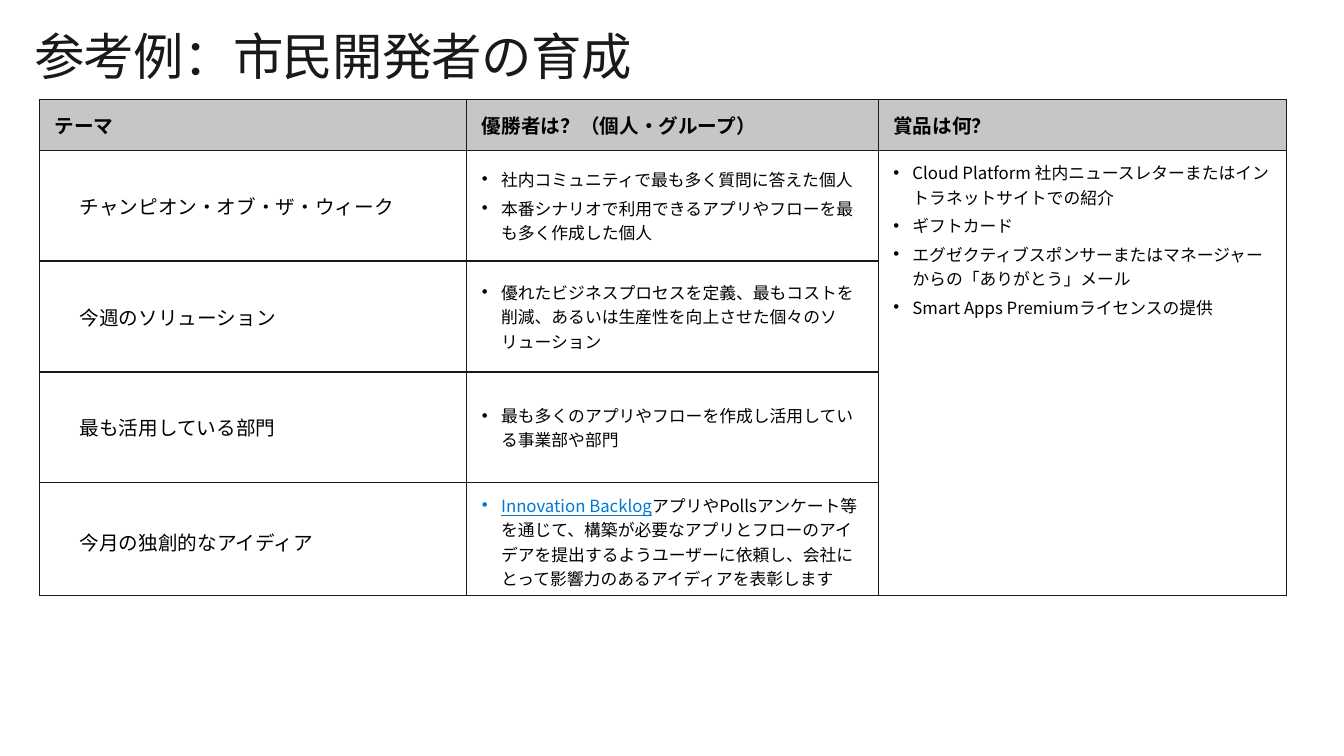
from lxml import etree
from pptx import Presentation
from pptx.dml.color import RGBColor
from pptx.enum.text import MSO_ANCHOR
from pptx.oxml import parse_xml
from pptx.oxml.ns import nsdecls, qn
from pptx.util import Inches, Pt

FONT = "Noto Sans CJK JP"
BLACK, INK, LINK, GREY = "000000", "191919", "0078D4", "C6C6C6"

HEADERS = ["テーマ", "優勝者は？（個人・グループ）", "賞品は何？"]
THEMES = [
    ("チャンピオン・オブ・ザ・ウィーク", [
        "社内コミュニティで最も多く質問に答えた個人",
        "本番シナリオで利用できるアプリやフローを最も多く作成した個人"]),
    ("今週のソリューション", [
        "優れたビジネスプロセスを定義、最もコストを削減、あるいは生産性を向上させた個々のソリューション"]),
    ("最も活用している部門", [
        "最も多くのアプリやフローを作成し活用している事業部や部門"]),
    ("今月の独創的なアイディア", [
        "アプリやPollsアンケート等を通じて、構築が必要なアプリとフローのアイデアを提出するよう"
        "ユーザーに依頼し、会社にとって影響力のあるアイディアを表彰します"]),
]
LINKED_TERM = "Innovation Backlog"
PRIZES = [
    "Cloud Platform 社内ニュースレターまたはイントラネットサイトでの紹介",
    "ギフトカード",
    "エグゼクティブスポンサーまたはマネージャーからの「ありがとう」メール",
    "Smart Apps Premiumライセンスの提供",
]


def add_run(p, text, size, color=BLACK, bold=False, underline=False):
    r = p.add_run()
    r.text = text
    r.font.size, r.font.name = Pt(size), FONT
    r.font.bold, r.font.underline = bold, underline
    r.font.color.rgb = RGBColor.from_string(color)
    rPr = r._r.get_or_add_rPr()
    etree.SubElement(rPr, qn("a:ea")).set("typeface", FONT)
    return rPr


def add_bullets(cell, items, linked_term=None):
    """Fill a cell with bullets; the first may open with a link-coloured term."""
    tf = cell.text_frame
    for i, item in enumerate(items):
        p = tf.add_paragraph() if i else tf.paragraphs[0]
        pPr = p._p.get_or_add_pPr()
        pPr.set("marL", str(Inches(0.19)))
        pPr.set("indent", str(Inches(-0.19)))
        pPr.append(parse_xml(f'<a:buFont {nsdecls("a")} typeface="Arial"/>'))
        pPr.append(parse_xml(f'<a:buChar {nsdecls("a")} char="•"/>'))
        p.space_after = Pt(3)
        if linked_term and i == 0:
            add_run(p, linked_term, 12, LINK, underline=True)
        add_run(p, item, 12)


prs = Presentation()
prs.slide_width, prs.slide_height = Inches(13.33), Inches(7.5)
s = prs.slides.add_slide(prs.slide_layouts[6])

# Table grid
frame = s.shapes.add_table(5, 3, Inches(0.39), Inches(0.99), Inches(12.37), Inches(4.92))
table = frame.table
table.first_row = table.horz_banding = False
for col, width in zip(table.columns, [4.24, 4.08, 4.05]):
    col.width = Inches(width)
for i, row in enumerate(table.rows):
    row.height = Inches(1.1 if i else 0.5)
    for j, cell in enumerate(row.cells):
        cell.margin_left = Inches(0.4 if i and j == 0 else 0.15)
        cell.margin_right = cell.margin_top = Inches(0.1)
        cell.margin_bottom = Inches(0.05 if i == 4 else 0.1)
        cell.vertical_anchor = MSO_ANCHOR.TOP if i and j == 2 else MSO_ANCHOR.MIDDLE
        tcPr = cell._tc.get_or_add_tcPr()
        for side in ("lnL", "lnR", "lnT", "lnB"):
            tcPr.append(parse_xml(
                f'<a:{side} {nsdecls("a")} w="{Pt(1)}"><a:solidFill>'
                f'<a:srgbClr val="{INK}"/></a:solidFill></a:{side}>'))
        if i == 0:
            cell.fill.solid()
            cell.fill.fore_color.rgb = RGBColor.from_string(GREY)
        else:
            cell.fill.background()

# Table contents
for j, header in enumerate(HEADERS):
    add_run(table.cell(0, j).text_frame.paragraphs[0], header, 14, bold=True)
for i, (theme, winners) in enumerate(THEMES, start=1):
    add_run(table.cell(i, 0).text_frame.paragraphs[0], theme, 14)
    add_bullets(table.cell(i, 1), winners, LINKED_TERM if i == len(THEMES) else None)
table.cell(1, 2).merge(table.cell(4, 2))
add_bullets(table.cell(1, 2), PRIZES)

# Title
title = s.shapes.add_textbox(Inches(0.34), Inches(0.25), Inches(12.47), Inches(0.61))
tf = title.text_frame
tf.word_wrap = True
tf.margin_left = tf.margin_right = tf.margin_top = tf.margin_bottom = 0
rPr = add_run(tf.paragraphs[0], "参考例：市民開発者の育成", 36, INK)
rPr.set("spc", "-50")

prs.save("out.pptx")
